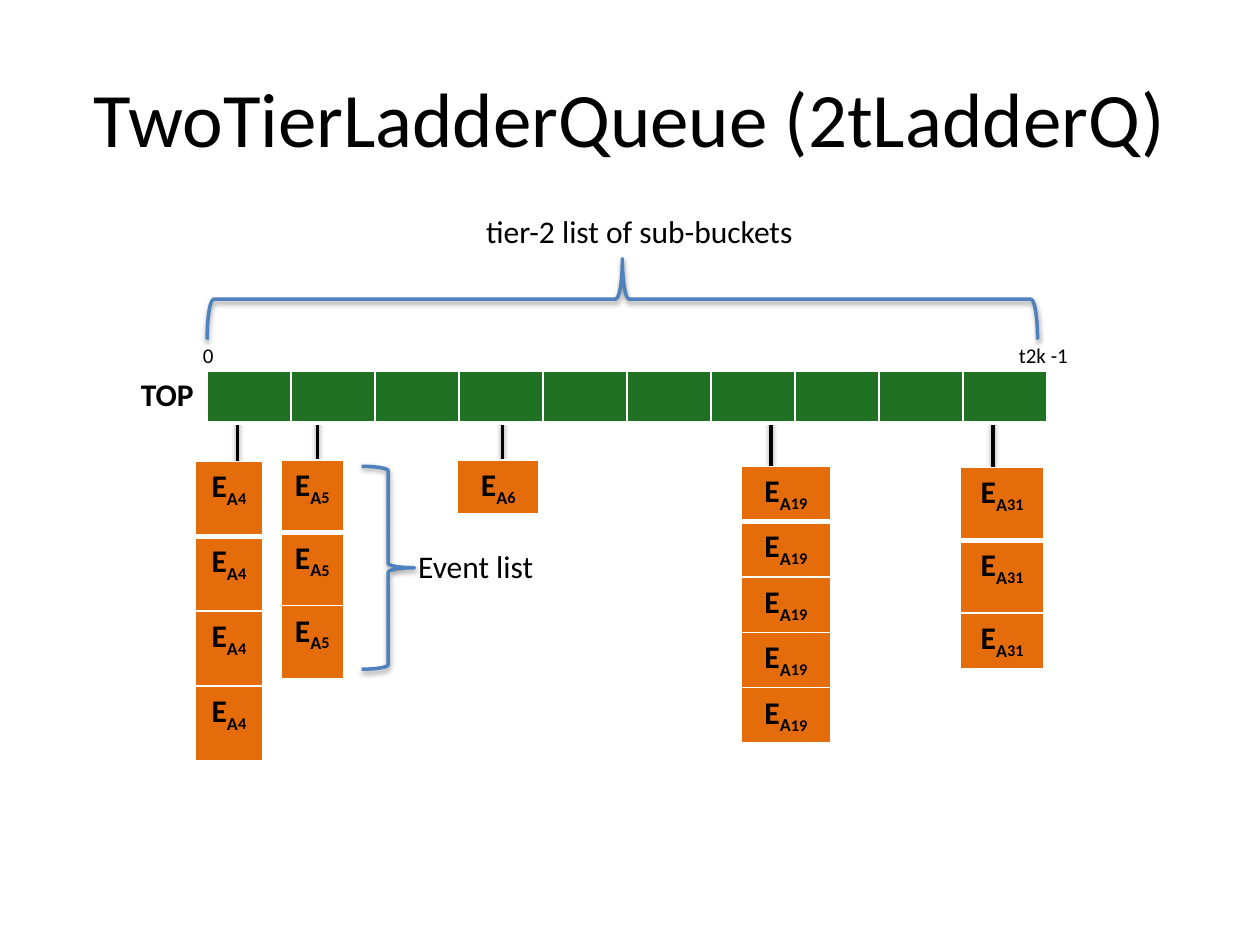
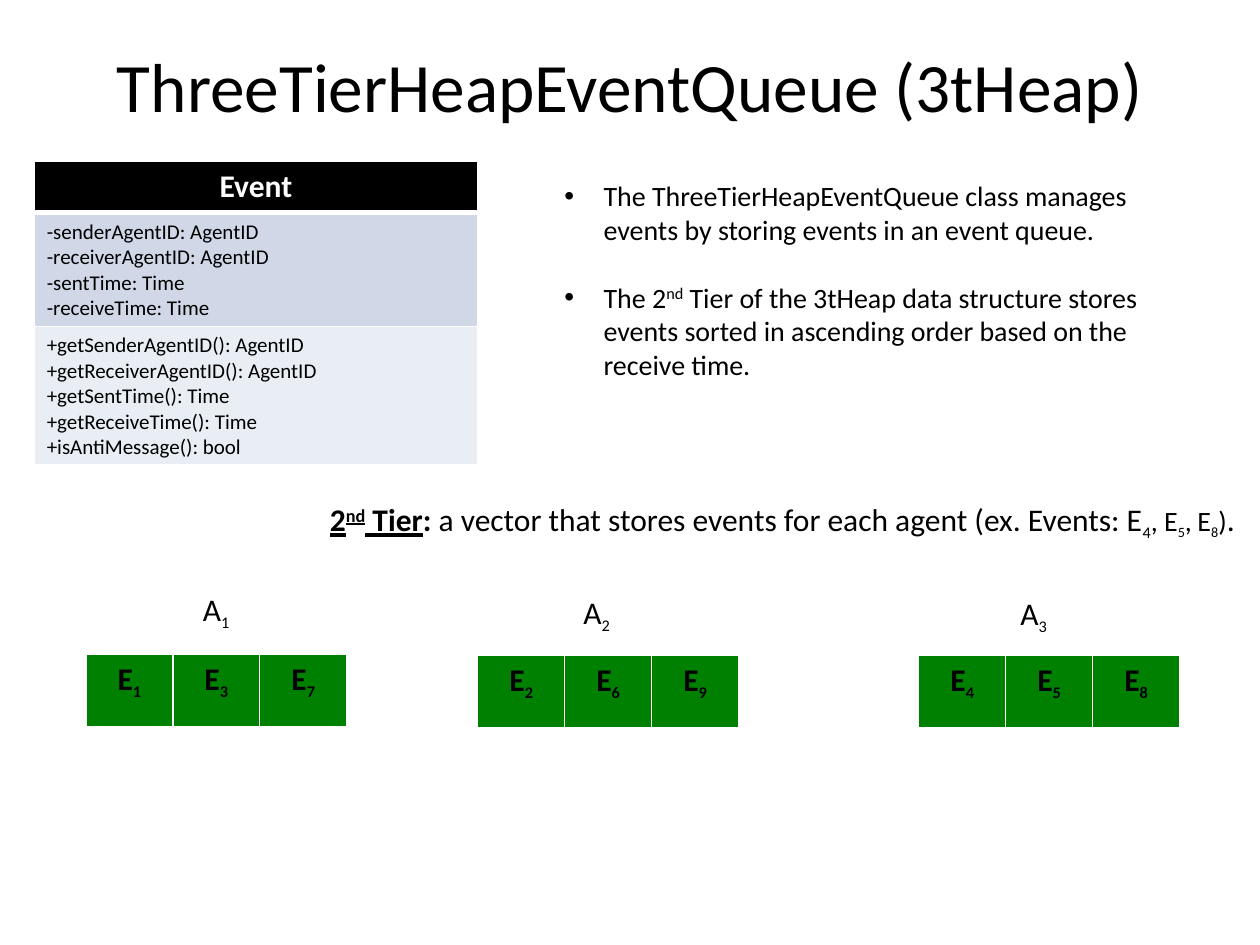
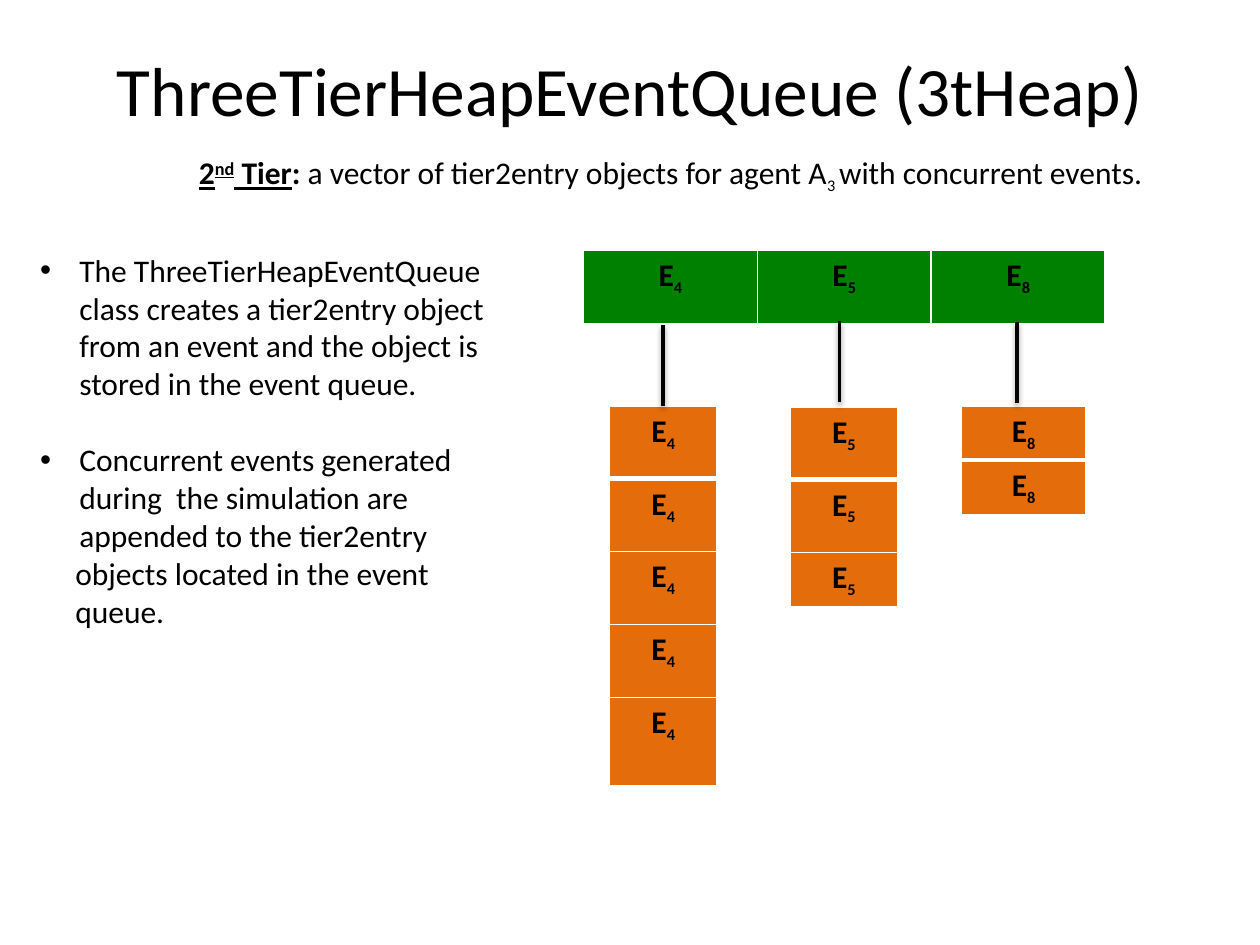
from lxml.etree import SubElement
from pptx import Presentation
from pptx.dml.color import RGBColor
from pptx.enum.shapes import MSO_CONNECTOR, MSO_SHAPE
from pptx.enum.text import MSO_ANCHOR, PP_ALIGN
from pptx.oxml.ns import qn
from pptx.util import Cm, Pt

FONT = "Calibri"
COLORS = {
    "text": "000000", "white": "FFFFFF", "brace": "4F81BD",
    "bucket": "217124", "vector": "008000", "event": "E46C0A",
    "fields": "D0D8E8", "methods": "E9EDF4",
}
BASELINES = {"^": "30000", "_": "-25000"}
LINE_LENGTH = 1.63
HANGING = 0.79

# A run is (text, size, marks): b bold, u underlined, ^ raised, _ lowered.
SECOND_TIER = [("2", 18, "bu"), ("nd", 18, "bu^"), (" Tier", 18, "bu"), (":", 18, "b")]

LADDER_TITLE = "TwoTierLadderQueue (2tLadderQ)"
HEAP_TITLE = "ThreeTierHeapEventQueue (3tHeap)"

# Slide 1: agent, left, top, width, row heights
LADDER_STACKS = [
    ("5", 5.66, 9.27, 1.27, [1.47] * 3),
    ("19", 14.94, 9.4, 1.8, [1.09] * 5),
    ("4", 3.94, 9.3, 1.35, [1.51] * 4),
    ("31", 19.35, 9.42, 1.7, [1.47, 1.47, 1]),
    ("6", 9.22, 9.27, 1.65, [1.02]),
]
LADDER_LINES = [(10.13, 8.03), (4.79, 7.98), (6.4, 8.33), (15.54, 8.43), (20.02, 8.46)]
BUCKETS = 10
# text, left, top, width, height, size, bold, alignment
LADDER_LABELS = [
    ("tier-2 list of sub-buckets", 7.95, 4.14, 9.88, 1.02, 18, False, PP_ALIGN.CENTER),
    ("TOP", 2.59, 7.44, 1.68, 1.02, 18, True, PP_ALIGN.LEFT),
    ("0", 3.84, 6.78, 1.68, 0.76, 12, False, PP_ALIGN.LEFT),
    ("t2k -1", 20.29, 6.78, 1.78, 0.76, 12, False, PP_ALIGN.LEFT),
    ("Event list", 8.18, 10.9, 3.45, 1.02, 18, False, PP_ALIGN.LEFT),
]
# left, top, width, height, rotation
BRACES = [(11.73, -2.34, 1.63, 16.74, 90), (7.29, 9.4, 1.07, 4.09, 180)]

# Slide 2
EVENT_FIELDS = [
    "-senderAgentID: AgentID", "-receiverAgentID: AgentID",
    "-sentTime: Time", "-receiveTime: Time",
]
EVENT_METHODS = [
    "+getSenderAgentID(): AgentID", "+getReceiverAgentID(): AgentID",
    "+getSentTime(): Time", "+getReceiveTime(): Time", "+isAntiMessage(): bool",
]
QUEUE_POINTS = [
    "The ThreeTierHeapEventQueue class manages events by storing events in an event queue.",
    [("The 2", 16, ""), ("nd", 16, "^"),
     (" Tier of the 3tHeap data structure stores events sorted in ascending order "
      "based on the receive time.", 16, "")],
]
VECTOR_HEADING = SECOND_TIER + [
    (" a vector that stores events for each agent (ex. Events: E", 18, ""),
    ("4", 16, "_"), (", E", 16, ""), ("5", 14, "_"), (",", 16, ""), (" ", 14, ""),
    ("E", 16, ""), ("8", 14, "_"), (")", 16, ""), (".", 18, ""),
]
# agent, label left and top, events, vector left and top
AGENT_VECTORS = [
    ("1", 3.84, 11.76, "137", 1.73, 13.18),
    ("2", 11.51, 11.84, "269", 9.63, 13.2),
    ("3", 20.32, 11.86, "458", 18.52, 13.2),
]

# Slide 3
ENTRY_HEADING = SECOND_TIER + [
    (" a vector of tier2entry objects for agent A", 18, ""),
    ("3 ", 16, "_"), ("with concurrent events.", 18, ""),
]
ENTRY_POINTS = [
    "The ThreeTierHeapEventQueue class creates a tier2entry object from an event "
    "and the object is stored in the event queue.",
    "Concurrent events generated\nduring  the simulation are\nappended to the tier2entry",
    "objects located in the event",
    "queue.",
]
ENTRY_STACKS = [
    ("4", 12.29, 8.18, 2.16, [1.47] * 4 + [1.77]),
    ("8", 19.38, 8.18, 2.51, [1.09] * 2),
    ("5", 15.93, 8.2, 2.16, [1.47, 1.47, 1]),
]
ENTRY_LINES = [(13.36, 6.55), (16.92, 6.48), (20.5, 6.5)]


def rgb(name):
    return RGBColor.from_string(COLORS[name])


def write(tf, paragraphs, size=18, bold=False, color="text", align=PP_ALIGN.LEFT):
    """Fill a text frame; each paragraph is a string or a list of runs."""
    for i, content in enumerate(paragraphs):
        p = tf.paragraphs[0] if i == 0 else tf.add_paragraph()
        p.alignment = align
        if isinstance(content, str):
            p.text = content
            styles = [(size, "b" if bold else "")] * len(p.runs)
        else:
            for text, _, _ in content:
                p.add_run().text = text
            styles = [run[1:] for run in content]
        for r, (run_size, marks) in zip(p.runs, styles):
            font = r.font
            font.name, font.size = FONT, Pt(run_size)
            font.color.rgb = rgb(color)
            font.bold, font.underline = "b" in marks, "u" in marks
            for mark in BASELINES.keys() & set(marks):
                r._r.get_or_add_rPr().set("baseline", BASELINES[mark])


def add_text(s, box, paragraphs, **style):
    tf = s.shapes.add_textbox(*map(Cm, box)).text_frame
    tf.word_wrap = True
    write(tf, paragraphs, **style)
    return tf


def add_title(s, text, top, height, size):
    tf = add_text(s, (1.27, top, 22.86, height), [text], size=size, align=PP_ALIGN.CENTER)
    tf.vertical_anchor = MSO_ANCHOR.MIDDLE


def indent(p, left, bullet=False):
    pPr = p._p.get_or_add_pPr()
    pPr.set("marL", str(Cm(left)))
    pPr.set("indent", str(-Cm(left) if bullet else 0))
    if bullet:
        SubElement(pPr, qn("a:buFont")).set("typeface", "Arial")
        SubElement(pPr, qn("a:buChar")).set("char", "•")


def set_border(cell, side, width):
    ln = SubElement(cell._tc.get_or_add_tcPr(), qn(f"a:ln{side}"), w=str(Pt(width)))
    fill = SubElement(ln, qn("a:solidFill"))
    SubElement(fill, qn("a:srgbClr")).set("val", COLORS["white"])


def add_grid(s, left, top, width, heights, columns, fills):
    """Add a table with white rules, heavier under its first row."""
    frame = s.shapes.add_table(len(heights), columns, Cm(left), Cm(top),
                               Cm(width), Cm(sum(heights)))
    table = frame.table
    table.first_row = table.horz_banding = False
    for column in table.columns:
        column.width = Cm(width / columns)
    for i, (height, fill) in enumerate(zip(heights, fills)):
        table.rows[i].height = Cm(height)
        for cell in table.rows[i].cells:
            for side in "LRTB":
                heavy = (i, side) in ((0, "B"), (1, "T"))
                set_border(cell, side, 3 if heavy else 1)
            cell.fill.solid()
            cell.fill.fore_color.rgb = rgb(fill)
    return table


def add_stack(s, runs, left, top, width, heights):
    table = add_grid(s, left, top, width, heights, 1, ["event"] * len(heights))
    for cell in table.iter_cells():
        write(cell.text_frame, [runs], align=PP_ALIGN.CENTER)


def event(number):
    return [("E", 18, "b"), (number, 16, "b_")]


def add_vector(s, events, left, top, width):
    table = add_grid(s, left, top, width, [1.5], len(events), ["vector"])
    for cell, number in zip(table.iter_cells(), events):
        write(cell.text_frame, [event(number)], align=PP_ALIGN.CENTER)


def style_stroke(shape, color):
    """Give a line or brace its colour and soft shadow."""
    shape.line.color.rgb = rgb(color)
    shape.line.width = Pt(2)
    effects = SubElement(shape.element.spPr, qn("a:effectLst"))
    shadow = SubElement(effects, qn("a:outerShdw"), blurRad="40000", dist="20000",
                        dir="5400000", rotWithShape="0")
    tint = SubElement(shadow, qn("a:srgbClr"), val=COLORS["text"])
    SubElement(tint, qn("a:alpha")).set("val", "38000")


def add_lines(s, starts):
    for x, top in starts:
        line = s.shapes.add_connector(MSO_CONNECTOR.STRAIGHT, Cm(x), Cm(top),
                                      Cm(x), Cm(top + LINE_LENGTH))
        style_stroke(line, "text")


def add_brace(s, left, top, width, height, rotation):
    brace = s.shapes.add_shape(MSO_SHAPE.LEFT_BRACE, *map(Cm, (left, top, width, height)))
    brace.rotation = rotation
    brace.fill.background()
    style_stroke(brace, "brace")


def build_ladder(s):
    add_lines(s, LADDER_LINES)
    for agent, *place in LADDER_STACKS:
        add_stack(s, [("E", 18, "b"), ("A", 18, "b_"), (agent, 16, "b_")], *place)
    for brace in BRACES:
        add_brace(s, *brace)
    for text, *box, size, bold, align in LADDER_LABELS:
        add_text(s, box, [text], size=size, bold=bold, align=align)
    add_title(s, LADDER_TITLE, 0.76, 3.18, 44)
    add_grid(s, 4.17, 7.49, 16.94, [1.04], BUCKETS, ["bucket"])


def build_vectors(s):
    add_title(s, HEAP_TITLE, 0.76, 1.9, 39.6)
    add_text(s, (6.4, 9.96, 19.15, 1.02), [VECTOR_HEADING])
    table = add_grid(s, 0.69, 3.25, 8.94, [1.04, 2.27, 2.78], 1,
                     ["text", "fields", "methods"])
    header, fields, methods = table.iter_cells()
    write(header.text_frame, ["Event"], bold=True, color="white", align=PP_ALIGN.CENTER)
    write(fields.text_frame, EVENT_FIELDS, size=12)
    write(methods.text_frame, EVENT_METHODS, size=12)
    tf = add_text(s, (11.13, 3.48, 12.14, 4.37), QUEUE_POINTS, size=16)
    for p in tf.paragraphs:
        indent(p, HANGING, bullet=True)
    tf.paragraphs[1].space_before = Pt(19.5)
    for agent, label_left, label_top, events, left, top in AGENT_VECTORS:
        add_text(s, (label_left, label_top, 1.93, 1.02), [[("A", 18, ""), (agent, 16, "_")]])
        add_vector(s, events, left, top, 5.26)


def build_entries(s):
    add_title(s, HEAP_TITLE, 0.71, 2.16, 39.6)
    for number, *place in ENTRY_STACKS:
        add_stack(s, event(number), *place)
    add_text(s, (3.76, 2.97, 19.56, 1.8), [ENTRY_HEADING])
    tf = add_text(s, (0.56, 4.93, 10.67, 7.95), ENTRY_POINTS)
    for i, p in enumerate(tf.paragraphs):
        if i < 2:
            indent(p, HANGING, bullet=True)
        else:
            indent(p, 0.71)
    tf.paragraphs[1].space_before = Pt(22)
    add_vector(s, "458", 11.76, 5.05, 10.52)
    add_lines(s, ENTRY_LINES)


def main():
    prs = Presentation()
    prs.slide_width, prs.slide_height = Cm(25.4), Cm(19.05)
    for build in (build_ladder, build_vectors, build_entries):
        build(prs.slides.add_slide(prs.slide_layouts[6]))
    prs.save("out.pptx")


if __name__ == "__main__":
    main()
